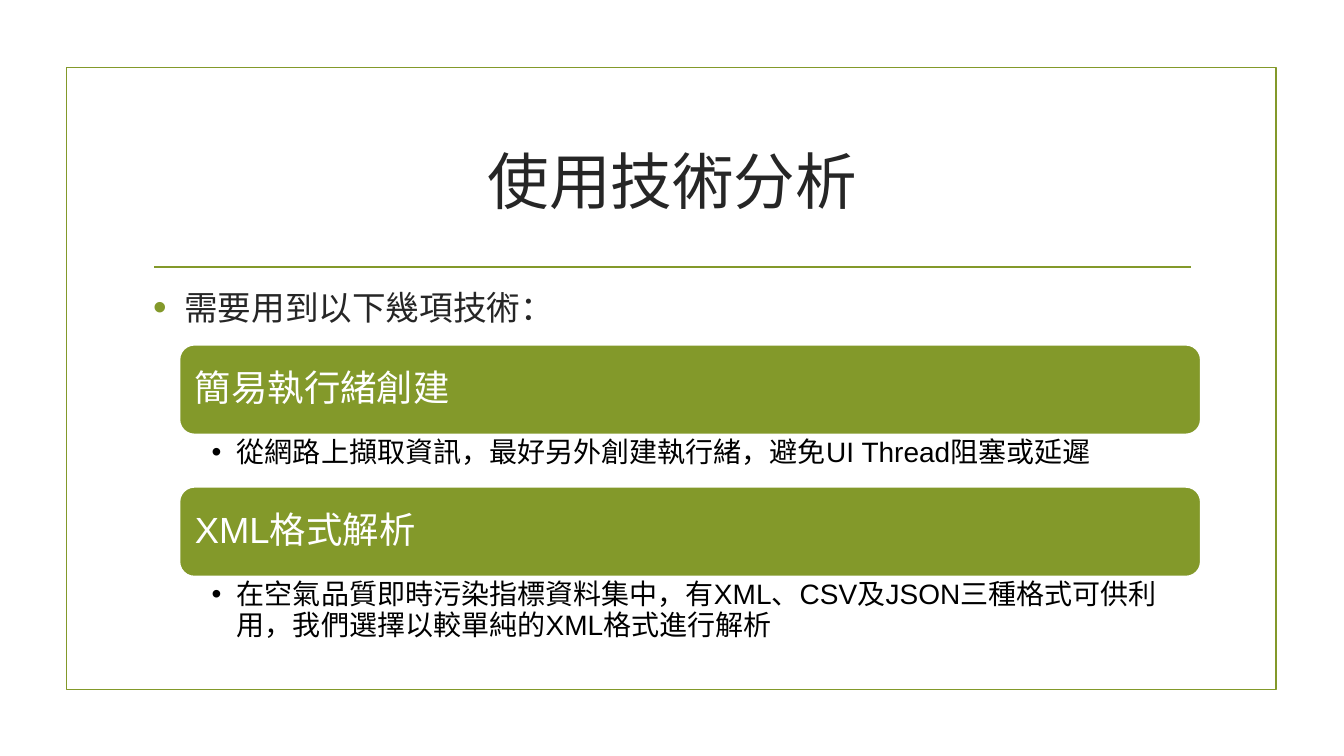
"""Build the slide that lists the techniques in use."""
from lxml import etree
from pptx import Presentation
from pptx.dml.color import RGBColor
from pptx.enum.shapes import MSO_CONNECTOR, MSO_SHAPE
from pptx.enum.text import MSO_ANCHOR, MSO_AUTO_SIZE, PP_ALIGN
from pptx.oxml.ns import qn
from pptx.util import Inches, Pt

RECTANGLE = MSO_SHAPE.RECTANGLE
ROUNDED = MSO_SHAPE.ROUNDED_RECTANGLE
STRAIGHT = MSO_CONNECTOR.STRAIGHT
TOP, MIDDLE = MSO_ANCHOR.TOP, MSO_ANCHOR.MIDDLE
LEFT, CENTER = PP_ALIGN.LEFT, PP_ALIGN.CENTER

TITLE = "使用技術分析"
INTRO = "需要用到以下幾項技術："
TECHNIQUES = [
    ("簡易執行緒創建",
     "從網路上擷取資訊，最好另外創建執行緒，避免UI Thread阻塞或延遲", 0.52),
    ("XML格式解析",
     "在空氣品質即時污染指標資料集中，有XML、CSV及JSON三種格式可供利用，"
     "我們選擇以較單純的XML格式進行解析", 0.97),
]
GREEN, DARK, BLACK, WHITE = "83992A", "262626", "000000", "FFFFFF"
LIST_LEFT, LIST_TOP, LIST_WIDTH, BAR_HEIGHT = 1.78, 3.42, 10.13, 0.89
LINE_WIDTH = Pt(1.25)


def color(hex_value):
    """Turn a hex string into a colour."""
    return RGBColor.from_string(hex_value)


def write(shape, text, *, size, ink, font="Arial", align=LEFT, anchor=TOP,
          insets=(0.1, 0.05, 0.1, 0.05), spacing=1.0, indent=0,
          bullet_color=None, bullet_size=100):
    """Fill a shape with one formatted paragraph, bulleted when indented."""
    frame = shape.text_frame
    frame.word_wrap = True
    frame.auto_size = MSO_AUTO_SIZE.NONE
    frame.vertical_anchor = anchor
    (frame.margin_left, frame.margin_top,
     frame.margin_right, frame.margin_bottom) = map(Inches, insets)
    paragraph = frame.paragraphs[0]
    paragraph.alignment = align
    paragraph.line_spacing = spacing
    run = paragraph.add_run()
    run.text = text
    run.font.size = Pt(size)
    run.font.name = font
    run.font.color.rgb = color(ink)
    if indent:
        properties = paragraph._p.get_or_add_pPr()
        properties.set("marL", str(Inches(indent)))
        properties.set("indent", str(-Inches(indent)))
        bullet = etree.SubElement(properties, qn("a:buClr"))
        etree.SubElement(bullet, qn("a:srgbClr"), val=bullet_color or ink)
        etree.SubElement(properties, qn("a:buSzPct"), val=str(bullet_size * 1000))
        etree.SubElement(properties, qn("a:buFont"), typeface="Arial")
        etree.SubElement(properties, qn("a:buChar"), char="•")


def add_box(slide, preset, box, line, fill=None):
    """Add an outlined preset shape."""
    shape = slide.shapes.add_shape(preset, *map(Inches, box))
    shape.shadow.inherit = False
    shape.line.color.rgb = color(line)
    shape.line.width = LINE_WIDTH
    if fill:
        shape.fill.solid()
        shape.fill.fore_color.rgb = color(fill)
    else:
        shape.fill.background()
    return shape


def add_rule(slide, left, right, top):
    """Add the horizontal rule below the title."""
    rule = slide.shapes.add_connector(
        STRAIGHT, Inches(left), Inches(top), Inches(right), Inches(top))
    rule.line.color.rgb = color(GREEN)
    rule.line.width = LINE_WIDTH
    etree.SubElement(rule._element.spPr, qn("a:effectLst"))


def add_techniques(slide):
    """Stack each technique's bar and its explanation."""
    top = LIST_TOP
    for name, detail, detail_height in TECHNIQUES:
        bar = add_box(slide, ROUNDED, (LIST_LEFT, top, LIST_WIDTH, BAR_HEIGHT),
                      WHITE, GREEN)
        write(bar, name, size=26, ink=WHITE, anchor=MIDDLE,
              insets=(0.11,) * 4, spacing=0.9)
        top += BAR_HEIGHT
        box = (LIST_LEFT, top, LIST_WIDTH, detail_height)
        write(slide.shapes.add_textbox(*map(Inches, box)), detail, size=20,
              ink=BLACK, insets=(0.32, 0.04, 0.2, 0.04), spacing=0.9, indent=0.25)
        top += detail_height


def main():
    """Build and save the presentation."""
    presentation = Presentation()
    presentation.slide_width = Inches(13.33)
    presentation.slide_height = Inches(7.5)
    slide = presentation.slides.add_slide(presentation.slide_layouts[5])

    add_box(slide, RECTANGLE, (0.66, 0.67, 12, 6.17), GREEN)
    add_rule(slide, 1.53, 11.81, 2.65)

    title = slide.shapes.title
    title.left, title.top, title.width, title.height = map(
        Inches, (1.42, 1.07, 10.5, 1.43))
    write(title, TITLE, size=44, ink=DARK, font="Times New Roman",
          align=CENTER, anchor=MIDDLE)

    intro = slide.shapes.add_textbox(*map(Inches, (1.42, 2.8, 10.5, 0.55)))
    write(intro, INTRO, size=24, ink=DARK, indent=0.31,
          bullet_color=GREEN, bullet_size=115)

    add_techniques(slide)
    presentation.save("out.pptx")


if __name__ == "__main__":
    main()
